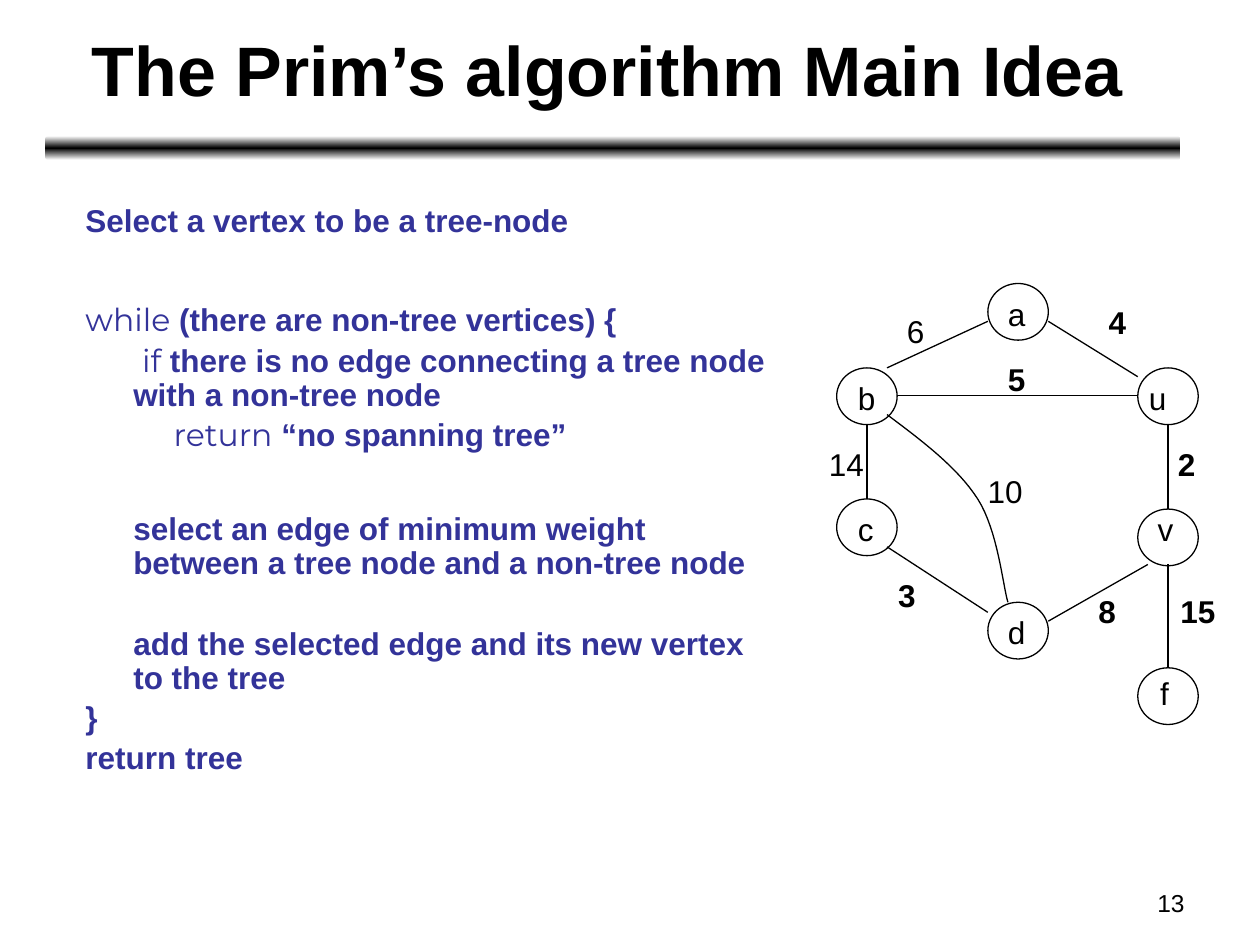
"""Build a slide on the main idea of Prim's algorithm with a weighted graph."""
from copy import deepcopy

from pptx import Presentation
from pptx.dml.color import RGBColor
from pptx.enum.shapes import MSO_CONNECTOR, MSO_SHAPE
from pptx.enum.text import MSO_ANCHOR, PP_ALIGN
from pptx.oxml.ns import qn
from pptx.oxml.xmlchemy import OxmlElement
from pptx.util import Inches, Pt

LEFT, CENTER, RIGHT = PP_ALIGN.LEFT, PP_ALIGN.CENTER, PP_ALIGN.RIGHT
TOP, MIDDLE = MSO_ANCHOR.TOP, MSO_ANCHOR.MIDDLE
STRAIGHT = MSO_CONNECTOR.STRAIGHT
BLACK, WHITE, INDIGO = "000000", "FFFFFF", "333399"
color = RGBColor.from_string

deck = Presentation()
deck.slide_width, deck.slide_height = Inches(10), Inches(7.5)
page = deck.slides.add_slide(deck.slide_layouts[6])
UNIT = deck.slide_width / 100


def grid(*shares):
    """Turn hundredths of the slide width into lengths."""
    return [round(share * UNIT) for share in shares]


def write(text, area, size=18, bold=False, align=LEFT, anchor=TOP, wrap=False):
    """Add a black text box with one paragraph."""
    box = page.shapes.add_textbox(*grid(*area))
    frame = box.text_frame
    frame.word_wrap, frame.vertical_anchor = wrap, anchor
    para = frame.paragraphs[0]
    para.alignment = align
    span = para.add_run()
    span.text = text
    span.font.name, span.font.size, span.font.bold = "Arial", Pt(size), bold
    span.font.color.rgb = color(BLACK)


bar = page.shapes.add_shape(MSO_SHAPE.ROUNDED_RECTANGLE, *grid(3.6, 10.8, 90.1, 1.9))
bar.shadow.inherit = False
bar.line.fill.background()
bar.fill.gradient()
bar.fill.gradient_angle = 90
stop_list = bar._element.spPr.find(".//" + qn("a:gsLst"))
stop_list.append(deepcopy(stop_list[0]))
for stop, position, shade in zip(bar.fill.gradient_stops, (0, 0.5, 1), (WHITE, BLACK, WHITE)):
    stop.position = position
    stop.color.rgb = color(shade)

write("13", (71.7, 70, 23.3, 3.5), size=14, align=RIGHT, wrap=True)
write("The Prim’s algorithm Main Idea", (5.7, 0, 85, 10.8), size=40, bold=True,
      align=CENTER, anchor=MIDDLE, wrap=True)

steps = [
    ("", "Select a vertex to be a tree-node", 0, 0, 0),
    ("while", " (there are non-tree vertices) {", 0, 0, 37.3),
    ("if", " there is no edge connecting a tree node with a non-tree node", 3.8, 0.7, 3.6),
    ("return", " “no spanning tree”", 3.8, 3.2, 3.6),
    ("", "select an edge of minimum weight between a tree node and a non-tree node", 3.8, 0, 34.5),
    ("", "add the selected edge and its new vertex to the tree", 3.8, 0, 26.5),
    ("", "}", 0, 0, 3.6),
    ("", "return tree", 0, 0, 3.6),
]
frame = page.shapes.add_textbox(*grid(5.8, 15.8, 56.7, 50)).text_frame
frame.word_wrap = True
for index, (keyword, words, margin, indent, gap) in enumerate(steps):
    para = frame.add_paragraph() if index else frame.paragraphs[0]
    para.line_spacing, para.space_before = 0.9, Pt(gap)
    settings = para._p.get_or_add_pPr()
    for name, length in zip(("marL", "indent"), grid(margin, indent)):
        settings.set(name, str(length))
    for text, font, bold in ((keyword, "Montserrat", False), (words, "Arial", True)):
        if text:
            span = para.add_run()
            span.text = text
            span.font.name, span.font.size, span.font.bold = font, Pt(18), bold
            span.font.color.rgb = color(INDIGO)

columns = (66.4, 78.4, 90.3)
nodes = [
    ("b", 0, 29.2, 0.7, 0.4), ("c", 0, 39.6, 0.7, 0.4), ("a", 1, 22.5, 0.6, 0.4),
    ("u", 2, 29.2, -0.1, 0.4), ("d", 1, 47.8, 0.6, 0.4), ("v", 2, 40.4, 0.6, -0.4),
    ("f", 2, 53, 0.8, 0),
]
for letter, column, top, shift, drop in nodes:
    left = columns[column]
    circle = page.shapes.add_shape(MSO_SHAPE.OVAL, *grid(left, top, 4.8, 4.5))
    circle.shadow.inherit = False
    circle.fill.background()
    circle.line.color.rgb, circle.line.width = color(BLACK), Pt(0.75)
    width = 2.7 if letter == "f" else 3.4
    write(letter, (left + shift, top + drop, width, 4))

edges = [
    (68.8, 33.7, 68.8, 39.6), (70.4, 29.2, 78.4, 25.5), (70.4, 43.4, 78.4, 48.6),
    (83.2, 49.3, 91.1, 44.8), (83.2, 25.5, 90.3, 29.9), (92.7, 33.7, 92.7, 40.4),
    (71.2, 31.4, 90.3, 31.4), (92.7, 44.8, 92.7, 53),
]
for ends in edges:
    edge = page.shapes.add_connector(STRAIGHT, *grid(*ends))
    edge.line.color.rgb, edge.line.width = color(BLACK), Pt(0.75)
    edge._element.spPr.append(OxmlElement("a:effectLst"))

bends = [
    ((70.4, 32.9), (73.2, 35), (76, 37.1), (77.6, 39.6)),
    ((77.6, 39.6), (79.2, 42.1), (79.6, 46.5), (80, 47.8)),
]
curve_points = []
for bend in bends:
    for t in (step / 16 for step in range(1, 17)):
        weights = ((1 - t) ** 3, 3 * t * (1 - t) ** 2, 3 * t ** 2 * (1 - t), t ** 3)
        curve_points.append(grid(*(sum(map(lambda w, v: w * v, weights, axis))
                                   for axis in zip(*bend))))
builder = page.shapes.build_freeform(*grid(*bends[0][0]))
builder.add_line_segments(curve_points, close=False)
curve = builder.convert_to_shape()
curve.shadow.inherit = False
curve.fill.background()
curve.line.color.rgb, curve.line.width = color(BLACK), Pt(0.75)

edge_weights = [
    ("6", 71, 24.3, False), ("4", 87, 23.6, True), ("5", 79, 28.1, True),
    ("2", 92.5, 34.8, True), ("15", 92.7, 46.5, True), ("8", 86.2, 46.5, True),
    ("10", 77.4, 37, False), ("14", 64.8, 34.8, False), ("3", 70.3, 45.2, True),
]
for number, left, top, bold in edge_weights:
    write(number, (left, top, 2 + 1.4 * len(number), 4), bold=bold)

deck.save("out.pptx")
